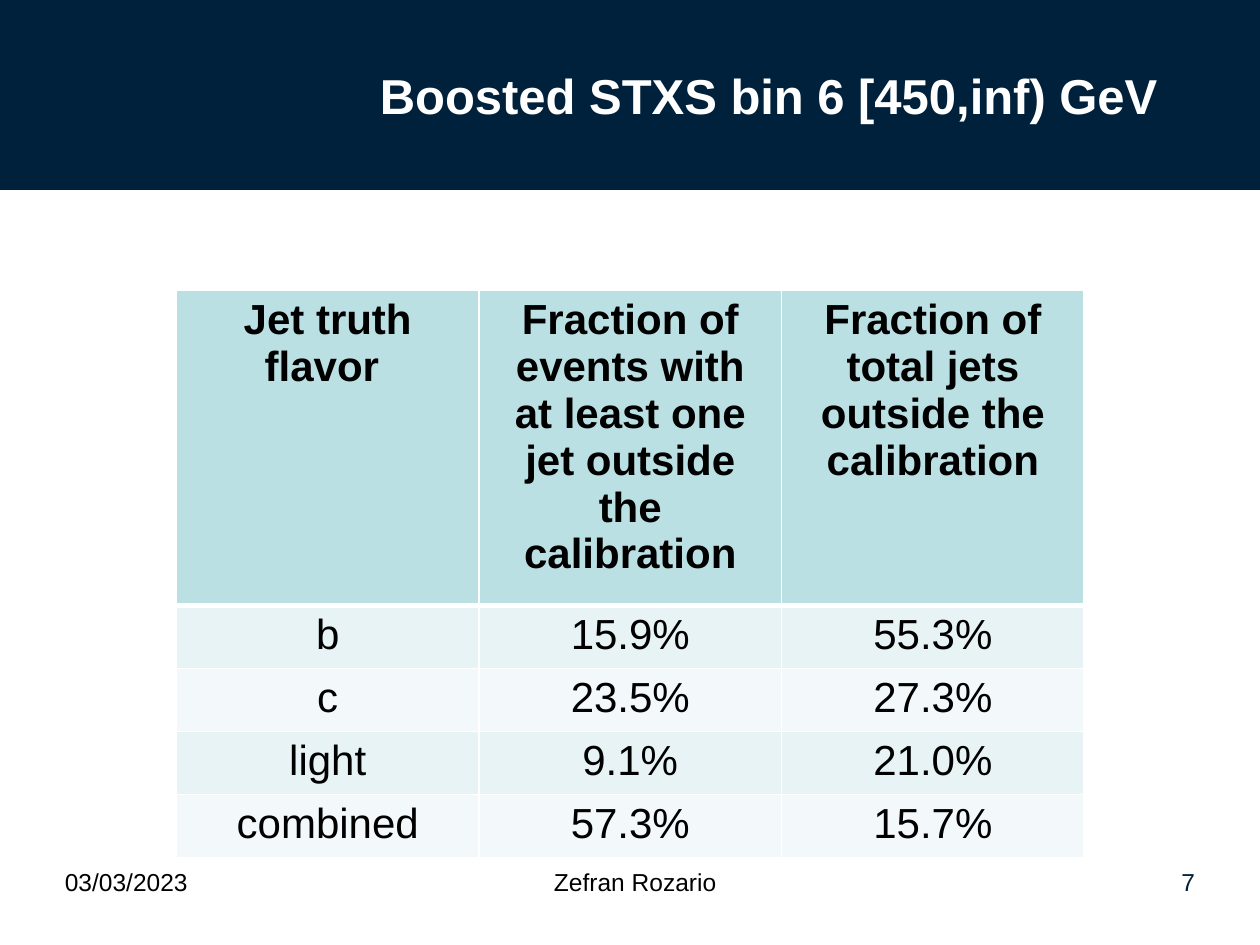
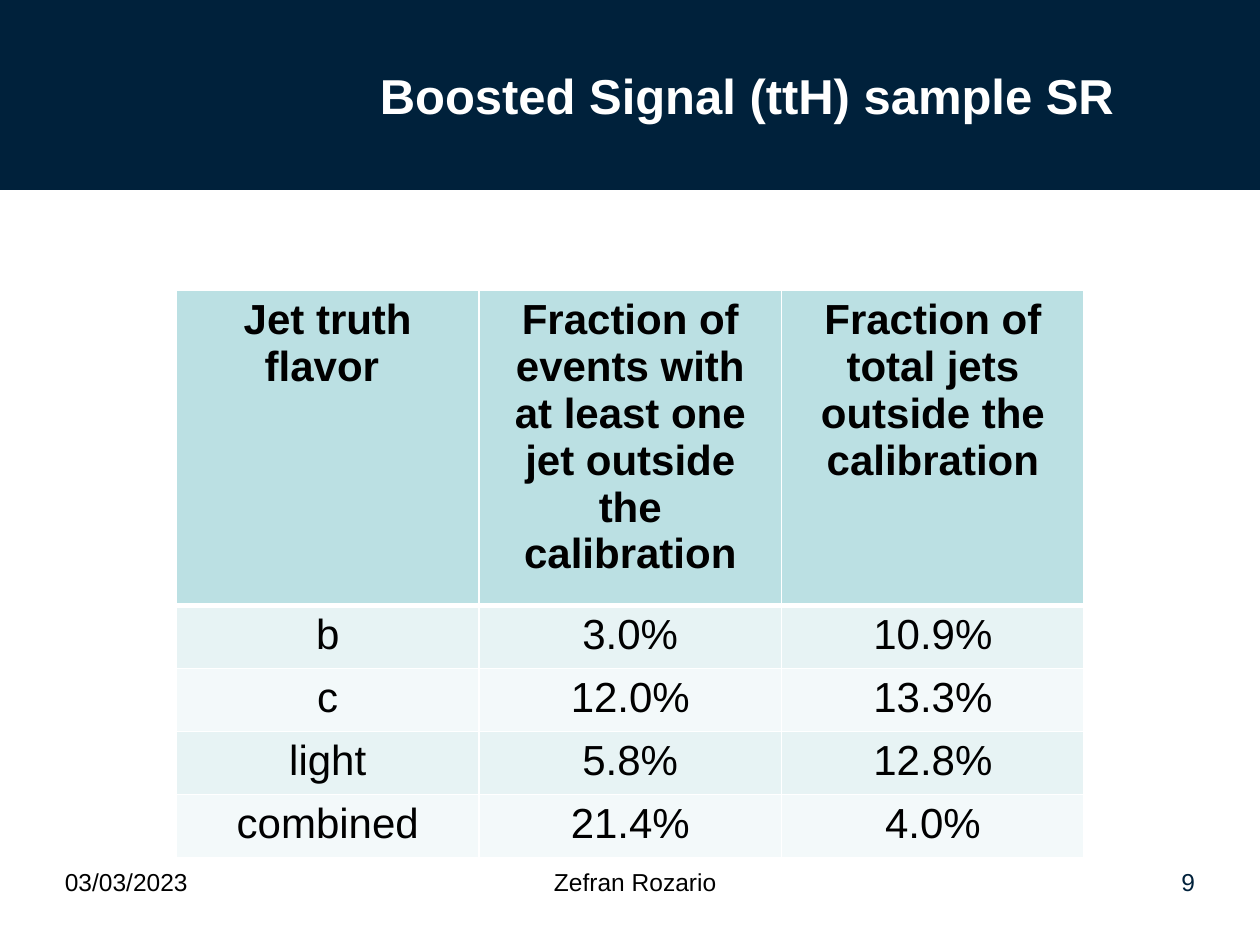
from lxml import etree
from pptx import Presentation
from pptx.dml.color import RGBColor
from pptx.enum.shapes import MSO_SHAPE
from pptx.enum.text import MSO_ANCHOR, PP_ALIGN
from pptx.oxml.ns import qn
from pptx.util import Pt

LEFT, MID, RIGHT = PP_ALIGN.LEFT, PP_ALIGN.CENTER, PP_ALIGN.RIGHT
TOP, CENTRE = MSO_ANCHOR.TOP, MSO_ANCHOR.MIDDLE
RECT = MSO_SHAPE.RECTANGLE

WIDE, HIGH = 720, 540
FONT = "Arial"
HUES = {
    "navy": "00213B",
    "white": "FFFFFF",
    "black": "000000",
    "head": "BBE0E3",
    "odd": "E7F3F4",
    "even": "F3F9FA",
}
HEADS = [
    "Jet truth flavor ",
    "Fraction of events with at least one jet outside the calibration",
    "Fraction of total jets outside the calibration",
]
FLAVORS = ["b", "c", "light", "combined"]


def hue(name):
    """Return the named colour."""
    return RGBColor.from_string(HUES[name])


def write(frame, text, size=14, color="black", bold=False, align=LEFT,
          anchor=TOP):
    """Put one formatted paragraph in a text frame."""
    frame.word_wrap = True
    frame.vertical_anchor = anchor
    para = frame.paragraphs[0]
    para.alignment = align
    run = para.add_run()
    run.text = text
    font = run.font
    font.name, font.size, font.bold = FONT, Pt(size), bold
    font.color.rgb = hue(color)


def label(slide, box, text, **form):
    """Add a text box at box (left, top, width, height)."""
    shape = slide.shapes.add_textbox(*map(Pt, box))
    write(shape.text_frame, text, **form)


def banner(slide, box, title):
    """Draw the title band with its title."""
    left, top, wide, high = box
    band = slide.shapes.add_shape(RECT, *map(Pt, box))
    band.shadow.inherit = False
    band.fill.solid()
    band.fill.fore_color.rgb = hue("navy")
    band.line.fill.background()
    label(slide, (left + 210, top + 27.5, 660, 54), title, size=28,
          color="white", bold=True, anchor=CENTRE)


def footer(slide, box, number):
    """Place date, author and slide number along the foot."""
    left, top, wide, high = box
    side = 150
    label(slide, (left, top, side, high), "03/03/2023")
    label(slide, (left + 192, top, 282, high), "Zefran Rozario", align=MID)
    label(slide, (left + wide - side, top, side, high), str(number),
          color="navy", align=RIGHT)


def border(cell, **widths):
    """Set white cell borders, widths in points keyed by L, R, T, B."""
    props = cell._tc.get_or_add_tcPr()
    for side, width in widths.items():
        line = etree.SubElement(props, qn("a:ln" + side), w=str(Pt(width)))
        fill = etree.SubElement(line, qn("a:solidFill"))
        etree.SubElement(fill, qn("a:srgbClr"), val=HUES["white"])


def grid(slide, box, rates):
    """Draw the table of fractions for each jet flavor."""
    left, top, wide, high = box
    rows = [HEADS] + [[name, *pair] for name, pair in zip(FLAVORS, rates)]
    low = 34
    table = slide.shapes.add_table(len(rows), len(HEADS),
                                   *map(Pt, box)).table
    for col in table.columns:
        col.width = Pt(wide / len(HEADS))
    for r, row in enumerate(rows):
        head = r == 0
        table.rows[r].height = Pt(high - low * len(FLAVORS) if head else low)
        shade = "head" if head else "odd" if r % 2 else "even"
        for c, text in enumerate(row):
            cell = table.cell(r, c)
            border(cell, L=1, R=1, T=3 if r == 1 else 1, B=3 if head else 1)
            cell.fill.solid()
            cell.fill.fore_color.rgb = hue(shade)
            write(cell.text_frame, text, size=24, bold=head, align=MID)


def page(deck, title, number, rates):
    """Build one slide of results."""
    slide = deck.slides.add_slide(deck.slide_layouts[6])
    banner(slide, (0, 0, WIDE, 108.5), title)
    footer(slide, (30, 492, WIDE - 60, 36), number)
    grid(slide, (100.8, 166, 518.8, 303), rates)


def main():
    """Build and save the deck."""
    deck = Presentation()
    deck.slide_width, deck.slide_height = Pt(WIDE), Pt(HIGH)
    page(deck, "Boosted STXS bin 6 [450,inf) GeV", 7,
         [("15.9%", "55.3%"), ("23.5%", "27.3%"),
          ("9.1%", "21.0%"), ("57.3%", "15.7%")])
    page(deck, "Boosted Signal (ttH) sample SR", 9,
         [("3.0%", "10.9%"), ("12.0%", "13.3%"),
          ("5.8%", "12.8%"), ("21.4%", "4.0%")])
    deck.save("out.pptx")


main()
